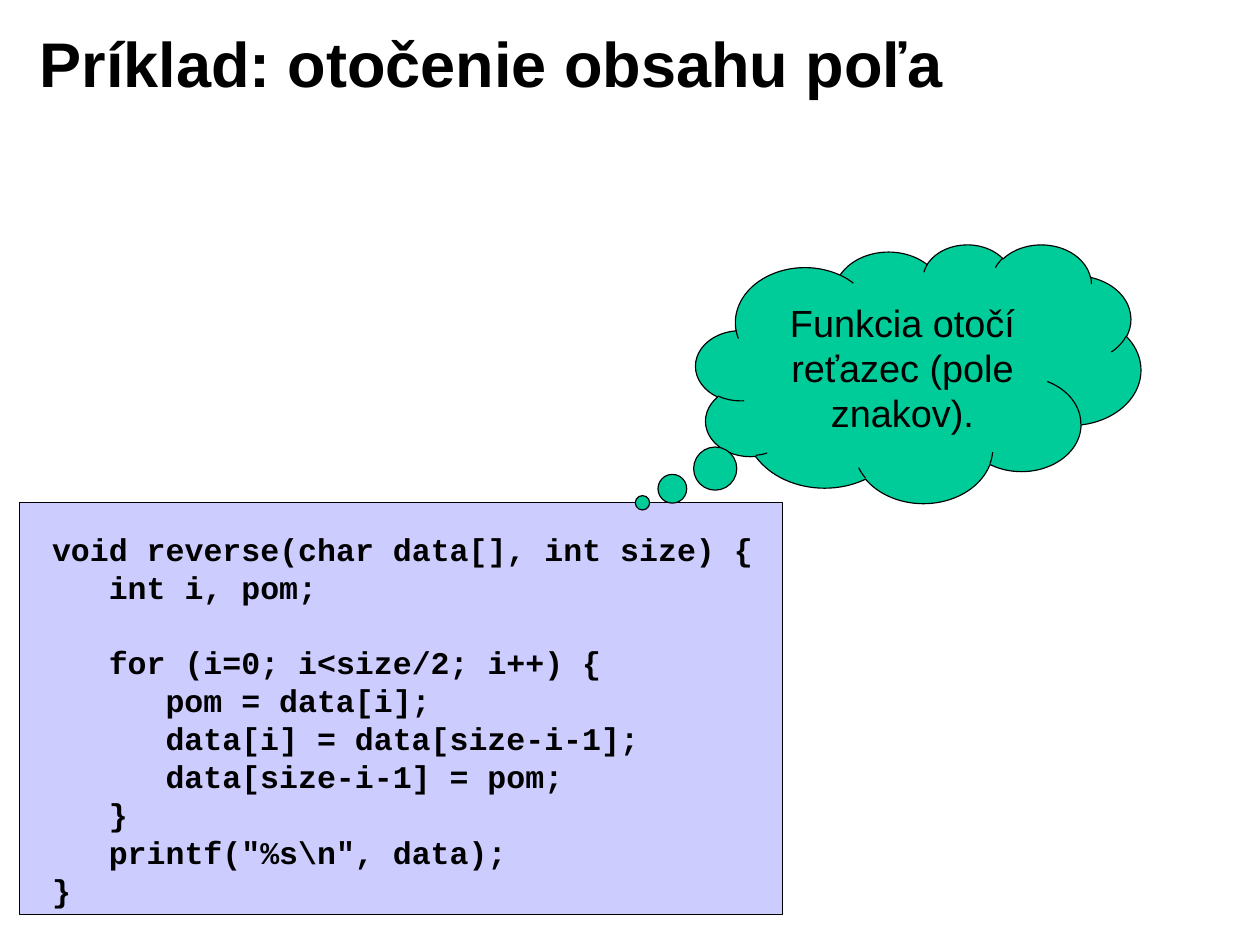
from dataclasses import dataclass

from pptx import Presentation, util as u
from pptx.dml.color import RGBColor
from pptx.enum import shapes, text


@dataclass(frozen=True)
class Theme:
    ink: RGBColor = RGBColor(0x00, 0x00, 0x00)
    panel: RGBColor = RGBColor(0xCC, 0xCC, 0xFF)
    cloud: RGBColor = RGBColor(0x00, 0xCC, 0x99)
    body_font: str = "Arial"
    code_font: str = "Courier New"
    title_size: int = 40
    cloud_size: int = 24
    code_size: int = 20
    code_pitch: int = 24
    code_indent: float = 0.5
    outline: float = 0.75


@dataclass(frozen=True)
class Box:
    left: float
    top: float
    width: float
    height: float

    def lengths(self) -> tuple:
        return tuple(u.Inches(n) for n in (self.left, self.top, self.width, self.height))


@dataclass(frozen=True)
class CodeLine:
    level: int
    code: str
    gap_lines: int = 0


THEME = Theme()

CODE = (
    CodeLine(0, "void reverse(char data[], int size) {"),
    CodeLine(1, "int i, pom;"),
    CodeLine(1, "for (i=0; i<size/2; i++) {", gap_lines=1),
    CodeLine(2, "pom = data[i];"),
    CodeLine(2, "data[i] = data[size-i-1];"),
    CodeLine(2, "data[size-i-1] = pom;"),
    CodeLine(1, "}"),
    CodeLine(1, 'printf("%s\\n", data);'),
    CodeLine(0, "}"),
)


def style(paragraph, font_name: str, size: int, bold: bool = False) -> None:
    font = paragraph.font
    font.name, font.size, font.bold = font_name, u.Pt(size), bold
    font.color.rgb = THEME.ink


def add_panel(slide, kind, box: Box, fill: RGBColor):
    shape = slide.shapes.add_shape(kind, *box.lengths())
    shape.shadow.inherit = False
    shape.fill.solid()
    shape.fill.fore_color.rgb = fill
    shape.line.color.rgb = THEME.ink
    shape.line.width = u.Pt(THEME.outline)
    return shape


def add_title(slide, box: Box, words: str) -> None:
    frame = slide.shapes.add_textbox(*box.lengths()).text_frame
    frame.word_wrap = True
    frame.text = words
    style(frame.paragraphs[0], THEME.body_font, THEME.title_size, bold=True)


def add_code(slide, box: Box, lines: tuple[CodeLine, ...]) -> None:
    frame = slide.shapes.add_textbox(*box.lengths()).text_frame
    frame.word_wrap = False
    frame.text = "\n".join(line.code for line in lines)
    for paragraph, line in zip(frame.paragraphs, lines):
        style(paragraph, THEME.code_font, THEME.code_size, bold=True)
        paragraph.line_spacing = u.Pt(THEME.code_pitch)
        paragraph.space_before = u.Pt(line.gap_lines * THEME.code_pitch)
        properties = paragraph._p.get_or_add_pPr()
        properties.set("marL", str(u.Inches(line.level * THEME.code_indent)))
        properties.set("indent", "0")


def add_cloud(slide, box: Box, words: str) -> None:
    cloud = add_panel(slide, shapes.MSO_SHAPE.CLOUD_CALLOUT, box, THEME.cloud)
    cloud.adjustments[0], cloud.adjustments[1] = -0.62, 0.5
    frame = cloud.text_frame
    frame.word_wrap = True
    frame.vertical_anchor = text.MSO_ANCHOR.MIDDLE
    frame.text = words
    paragraph = frame.paragraphs[0]
    paragraph.alignment = text.PP_ALIGN.CENTER
    paragraph.space_before = u.Pt(6)
    style(paragraph, THEME.body_font, THEME.cloud_size)


def main() -> None:
    presentation = Presentation()
    presentation.slide_width = u.Inches(11.1)
    presentation.slide_height = u.Inches(8.3)
    slide = presentation.slides.add_slide(presentation.slide_layouts[6])

    # Code panel and listing
    add_panel(slide, shapes.MSO_SHAPE.RECTANGLE, Box(0.17, 4.43, 6.72, 3.63), THEME.panel)
    add_code(slide, Box(0.36, 4.62, 6.38, 3.44), CODE)

    # Explanation in the thought cloud
    add_cloud(slide, Box(6.13, 2.15, 3.92, 2.28), "Funkcia otočí reťazec (pole znakov).")

    # Title
    add_title(slide, Box(0.25, 0.17, 8.92, 1.07), "Príklad: otočenie obsahu poľa")

    presentation.save("out.pptx")


if __name__ == "__main__":
    main()
